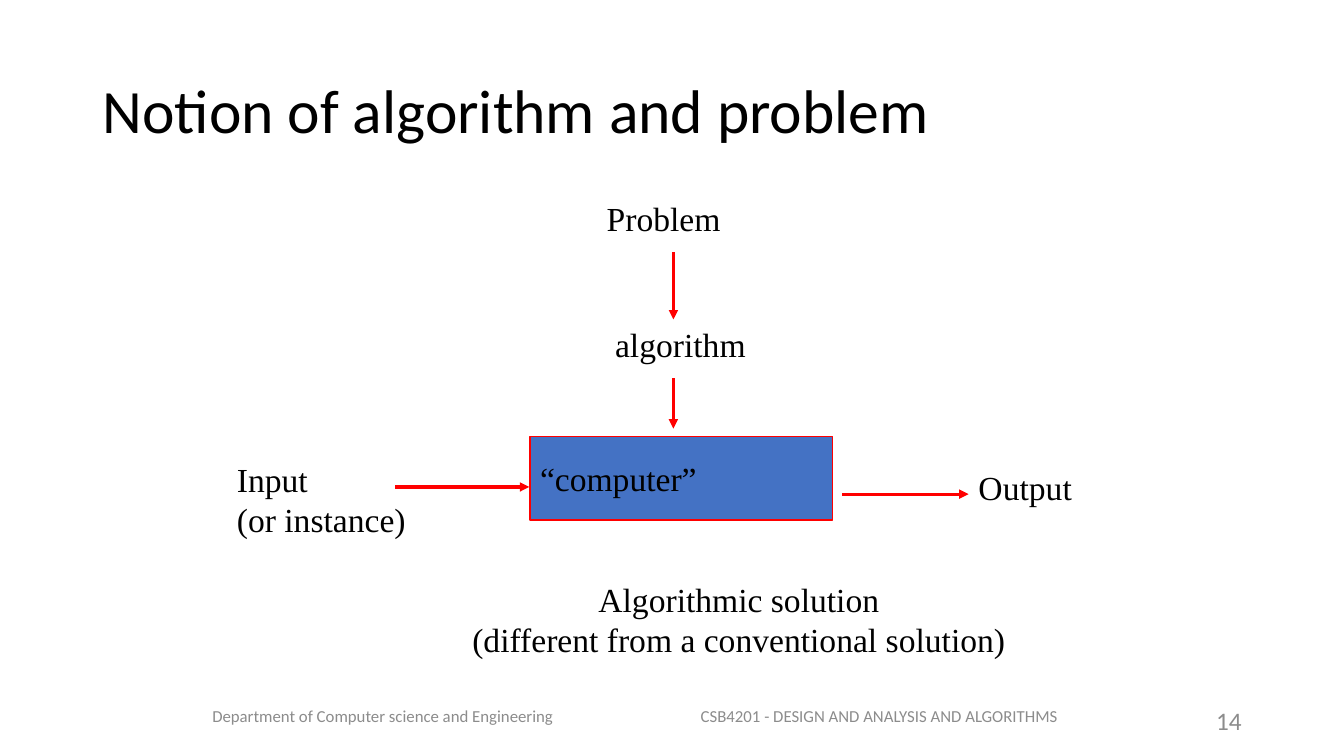
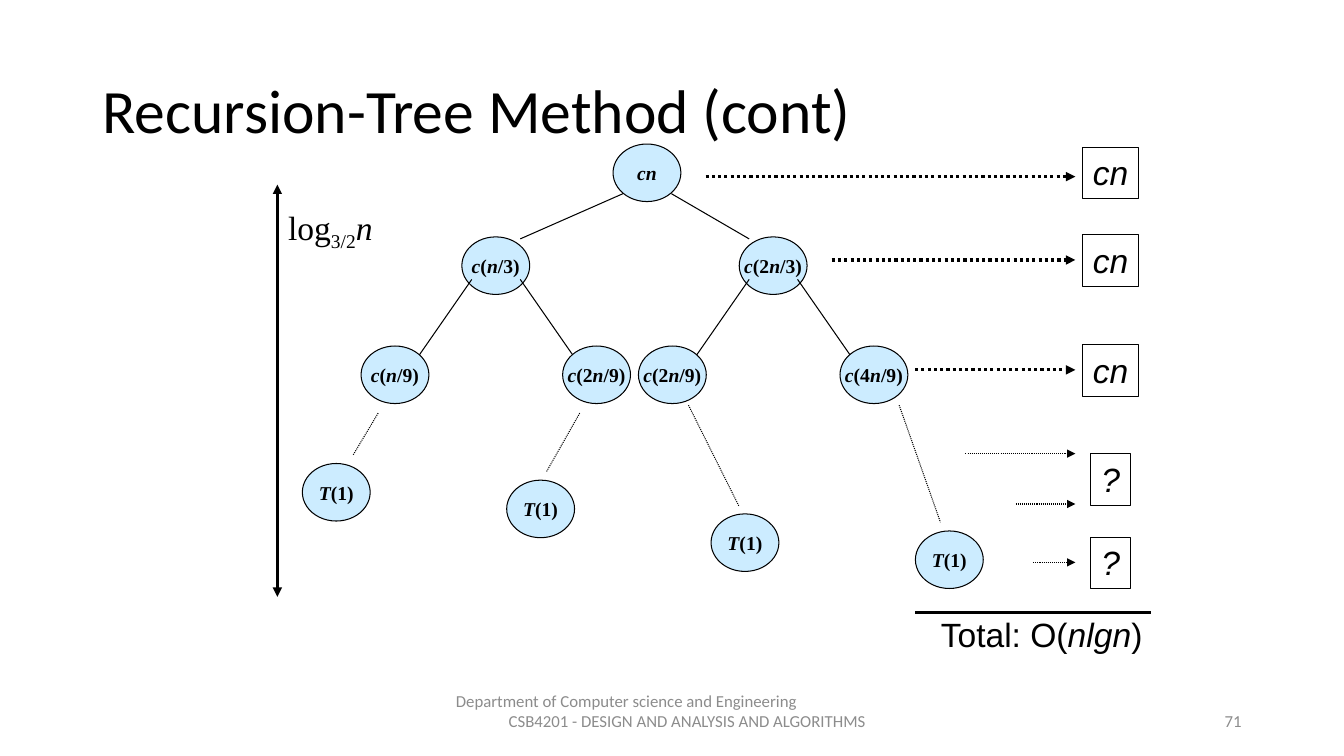
from pptx import Presentation
from pptx.dml.color import RGBColor
from pptx.enum.dml import MSO_LINE
from pptx.enum.shapes import MSO_CONNECTOR, MSO_SHAPE
from pptx.enum.text import MSO_ANCHOR, PP_ALIGN
from pptx.oxml.ns import qn
from pptx.util import Cm, Pt
from lxml.etree import SubElement

COLORS = {
    "ink": "000000",
    "footer": "8C8C8C",
    "flow": "FF0000",
    "machine": "4472C4",
    "node": "CCECFF",
}
COLORS = {part: RGBColor.from_string(code) for part, code in COLORS.items()}
SERIF, SANS, BODY = "Times New Roman", "Arial", "Calibri"


def write(shape, text, size=24, font=SERIF, color="ink", align=PP_ALIGN.LEFT,
          anchor=MSO_ANCHOR.TOP, bold=False, wrap=True):
    """Fill a shape with text; asterisks enclose italics, underscores a subscript."""
    frame = shape.text_frame
    frame.word_wrap = wrap
    frame.vertical_anchor = anchor
    for number, line in enumerate(text.split("\n")):
        paragraph = frame.add_paragraph() if number else frame.paragraphs[0]
        paragraph.alignment = align
        for i, styled in enumerate(line.split("*")):
            for j, words in enumerate(styled.split("_")):
                if not words:
                    continue
                run = paragraph.add_run()
                run.text = words
                run.font.size = Pt(size)
                run.font.name = font
                run.font.bold = bold
                run.font.italic = i % 2 == 1
                run.font.color.rgb = COLORS[color]
                if j % 2:
                    run.font._element.set("baseline", "-25000")


def draw_line(slide, x1, y1, x2, y2, color="ink", width=0.75, dotted=False, ends=()):
    line = slide.shapes.add_connector(
        MSO_CONNECTOR.STRAIGHT, Cm(x1), Cm(y1), Cm(x2), Cm(y2))
    line.line.color.rgb = COLORS[color]
    line.line.width = Pt(width)
    if dotted:
        line.line.dash_style = MSO_LINE.ROUND_DOT
    properties = line._element.spPr
    for end in ends:
        SubElement(properties.find(qn("a:ln")), qn(f"a:{end}"), type="triangle")
    SubElement(properties, qn("a:effectLst"))


deck = Presentation()
deck.slide_width, deck.slide_height = Cm(33.87), Cm(19.05)
title_only = deck.slide_layouts[5]

DEPARTMENT = "Department of Computer science and Engineering"
COURSE = "CSB4201 - DESIGN AND ANALYSIS AND ALGORITHMS"
pages = [
    ("Notion of algorithm and problem", "14", 18, [(5.1, 17.64), (17.41, 17.64)]),
    ("Recursion-Tree Method (cont)", "71", 12, [(11.24, 17.27), (12.57, 17.76)]),
]
slides = []
for heading, page_number, number_size, footer_places in pages:
    slide = deck.slides.add_slide(title_only)
    slides.append(slide)
    title = slide.shapes.title
    title.left, title.top, title.width, title.height = Cm(2.33), Cm(1.01), Cm(29.21), Cm(3.68)
    write(title, heading, 44, BODY, anchor=MSO_ANCHOR.MIDDLE)
    title.text_frame.paragraphs[0].line_spacing = 0.9

    for footer_text, (left, top) in zip((DEPARTMENT, COURSE), footer_places):
        footer = slide.shapes.add_textbox(Cm(left), Cm(top), Cm(10.5), Cm(0.8))
        write(footer, footer_text, 12, BODY, "footer", anchor=MSO_ANCHOR.MIDDLE)
    folio = slide.shapes.add_textbox(Cm(23.92), Cm(17.65), Cm(7.62), Cm(1.01))
    write(folio, page_number, number_size, BODY, "footer", PP_ALIGN.RIGHT, MSO_ANCHOR.MIDDLE)

notion, tree = slides

computer = notion.shapes.add_shape(
    MSO_SHAPE.RECTANGLE, Cm(13.36), Cm(11), Cm(7.62), Cm(2.11))
computer.shadow.inherit = False
computer.fill.solid()
computer.fill.fore_color.rgb = COLORS["machine"]
computer.line.color.rgb = COLORS["flow"]
computer.line.width = Pt(1)
write(computer, "“computer”", anchor=MSO_ANCHOR.MIDDLE)

captions = [
    (notion, "Problem", 15.04, 4.86, 3.81, 1.32, SERIF, PP_ALIGN.LEFT),
    (notion, "algorithm", 15.25, 8.05, 4.5, 1.27, SERIF, PP_ALIGN.LEFT),
    (notion, "Input\n(or instance)", 5.72, 11.43, 5.2, 2.31, SERIF, PP_ALIGN.LEFT),
    (notion, "Output", 24.41, 11.63, 3.33, 1.32, SERIF, PP_ALIGN.LEFT),
    (notion, "Algorithmic solution\n(different from a conventional solution)",
     11.4, 14.46, 14.44, 2.31, SERIF, PP_ALIGN.CENTER),
    (tree, "log_3/2_*n*", 7.01, 5.08, 3.2, 1.27, SERIF, PP_ALIGN.LEFT),
    (tree, "Total: Ο(*nlgn*)", 23.46, 15.34, 6.3, 1.27, SANS, PP_ALIGN.LEFT),
]
for slide, text, left, top, width, height, font, align in captions:
    caption = slide.shapes.add_textbox(Cm(left), Cm(top), Cm(width), Cm(height))
    write(caption, text, font=font, align=align)

flows = [
    (16.97, 6.35, 16.97, 8.05),
    (16.97, 9.53, 16.97, 10.8),
    (9.96, 12.27, 13.34, 12.27),
    (21.23, 12.45, 24.41, 12.45),
]
for flow in flows:
    draw_line(notion, *flow, "flow", 2.25, ends=["tailEnd"])

nodes = [
    ("*cn*", 15.45, 3.63),
    ("*c*(*n*/3)", 11.64, 5.97),
    ("*c*(2*n*/3)", 18.63, 5.97),
    ("*c*(*n*/9)", 9.1, 8.72),
    ("*c*(2*n*/9)", 14.18, 8.72),
    ("*c*(2*n*/9)", 16.09, 8.72),
    ("*c*(4*n*/9)", 21.17, 8.72),
]
leaf_tops = [11.68, 12.1, 12.95, 13.38]
nodes += [("*T*(1)", 7.62 + 5.15 * i, top) for i, top in enumerate(leaf_tops)]
for cost, left, top in nodes:
    node = tree.shapes.add_shape(
        MSO_SHAPE.FLOWCHART_CONNECTOR, Cm(left), Cm(top), Cm(1.71), Cm(1.45))
    node.shadow.inherit = False
    node.fill.solid()
    node.fill.fore_color.rgb = COLORS["node"]
    node.line.color.rgb = COLORS["ink"]
    node.line.width = Pt(0.75)
    write(node, cost, 14, align=PP_ALIGN.CENTER, anchor=MSO_ANCHOR.MIDDLE,
          bold=True, wrap=False)

NEAR, FAR = 0.25, 1.47
for parent in range(3):
    start_y, end_y = (7.04, 8.94) if parent else (4.88, 6.02)
    parent_left = nodes[parent][1]
    left_child, right_child = (nodes[2 * parent + side][1] for side in (1, 2))
    draw_line(tree, parent_left + NEAR, start_y, left_child + FAR, end_y)
    draw_line(tree, parent_left + FAR, start_y, right_child + NEAR, end_y)

continuations = [
    (9.53, 10.41, 8.89, 11.48),
    (14.61, 10.41, 13.77, 11.89),
    (17.35, 10.21, 18.62, 12.75),
    (22.66, 10.21, 23.7, 13.16),
]
for continuation in continuations:
    draw_line(tree, *continuation, dotted=True)

level_arrows = [
    (17.78, 4.45, 2.25),
    (20.96, 6.55, 2.25),
    (23.06, 9.32, 2.25),
    (24.33, 11.43, 0.75),
    (25.6, 12.7, 0.75),
    (26.04, 14.17, 0.75),
]
for start, y, weight in level_arrows:
    draw_line(tree, start, y, 27.1, y, width=weight, dotted=True, ends=["tailEnd"])

level_sums = [("cn", 3.71), ("cn", 5.92), ("cn", 8.69), ("?", 11.43), ("?", 13.54)]
for amount, top in level_sums:
    width = 1.42 if amount == "cn" else 1.02
    level_sum = tree.shapes.add_textbox(Cm(27.99 - width / 2), Cm(top), Cm(width), Cm(1.3))
    level_sum.line.color.rgb = COLORS["ink"]
    level_sum.line.width = Pt(0.75)
    write(level_sum, f"*{amount}*", font=SANS, align=PP_ALIGN.CENTER, wrap=False)

draw_line(tree, 23.06, 15.44, 29, 15.44, width=2.25)
draw_line(tree, 6.99, 4.65, 6.99, 15.04, width=2.25, ends=["headEnd", "tailEnd"])

deck.save("out.pptx")
